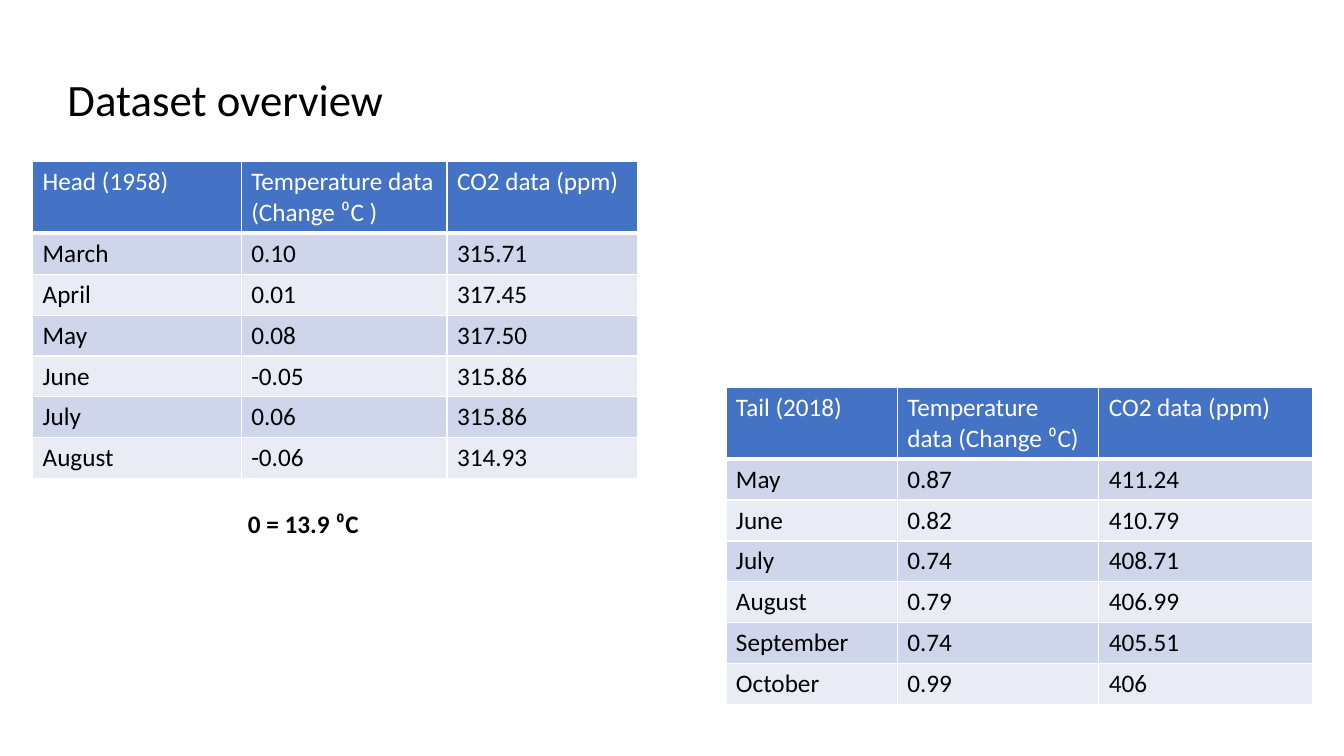
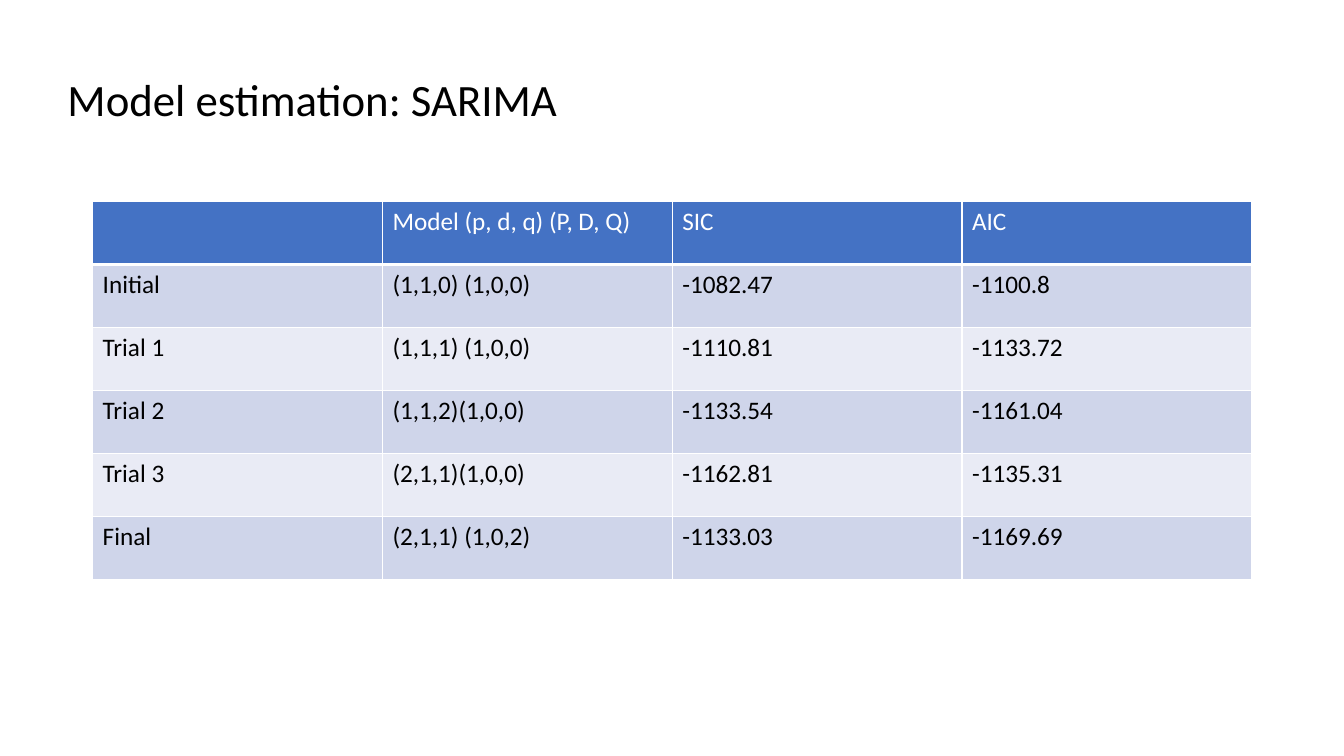
from pptx import Presentation
from pptx.dml.color import RGBColor
from pptx.enum.text import MSO_ANCHOR, MSO_AUTO_SIZE, PP_ALIGN
from pptx.oxml.ns import qn
from pptx.util import Pt
from lxml import etree

TOP, LEFT_ALIGN, NO_FIT = MSO_ANCHOR.TOP, PP_ALIGN.LEFT, MSO_AUTO_SIZE.NONE
COLORS = {"header": "4472C4", "band_dark": "CFD5EA", "band_light": "E9EBF5",
          "white": "FFFFFF", "black": "000000"}
FONT = "Calibri"
TITLE_BOX = (41, 47.5, 710, 46)
TITLE_ONLY = 5

HEAD_ROWS = [
    ("Head (1958)", "Temperature data (Change ⁰C )", "CO2 data (ppm)"),
    ("March", "0.10", "315.71"),
    ("April", "0.01", "317.45"),
    ("May", "0.08", "317.50"),
    ("June", "-0.05", "315.86"),
    ("July", "0.06", "315.86"),
    ("August", "-0.06", "314.93"),
]
TAIL_ROWS = [
    ("Tail (2018)", "Temperature data (Change ⁰C)", "CO2 data (ppm)"),
    ("May", "0.87", "411.24"),
    ("June", "0.82", "410.79"),
    ("July", "0.74", "408.71"),
    ("August", "0.79", "406.99"),
    ("September", "0.74", "405.51"),
    ("October", "0.99", "406"),
]
MODEL_ROWS = [
    ("", "Model (p, d, q) (P, D, Q)", "SIC", "AIC"),
    ("Initial", "(1,1,0) (1,0,0)", "-1082.47", "-1100.8"),
    ("Trial 1", "(1,1,1) (1,0,0)", "-1110.81", "-1133.72"),
    ("Trial 2", "(1,1,2)(1,0,0)", "-1133.54", "-1161.04"),
    ("Trial 3", "(2,1,1)(1,0,0)", "-1162.81", "-1135.31"),
    ("Final", "(2,1,1) (1,0,2)", "-1133.03", "-1169.69"),
]


def color(name):
    return RGBColor.from_string(COLORS[name])


def write(frame, text, size=18, ink="black", bold=False):
    """Put one formatted run in a text frame."""
    paragraph = frame.paragraphs[0]
    paragraph.alignment = LEFT_ALIGN
    if text:
        run = paragraph.add_run()
        run.text = text
        for key, value in {"name": FONT, "size": Pt(size), "bold": bold}.items():
            setattr(run.font, key, value)
        run.font.color.rgb = color(ink)


def set_frame(frame):
    for key, value in {"word_wrap": True, "auto_size": NO_FIT,
                       "vertical_anchor": TOP}.items():
        setattr(frame, key, value)


def add_borders(cell, bottom):
    """Draw white cell borders, with the bottom one as wide as asked."""
    properties = cell._tc.get_or_add_tcPr()
    for side, width in {"L": 1, "R": 1, "T": 1, "B": bottom}.items():
        line = etree.SubElement(properties, qn(f"a:ln{side}"), w=str(Pt(width)))
        fill = etree.SubElement(line, qn("a:solidFill"))
        etree.SubElement(fill, qn("a:srgbClr"), val=COLORS["white"])


def add_data_table(slide, rows, left, top, widths, header_height, row_height):
    """Place a table with a header row and alternating bands."""
    heights = [header_height] + [row_height] * (len(rows) - 1)
    table = slide.shapes.add_table(
        len(rows), len(widths), Pt(left), Pt(top),
        Pt(sum(widths)), Pt(sum(heights))).table
    for column, width in zip(table.columns, widths):
        column.width = Pt(width)
    for index, (row, height, texts) in enumerate(zip(table.rows, heights, rows)):
        row.height = Pt(height)
        is_header = index == 0
        band = "header" if is_header else "band_dark" if index % 2 else "band_light"
        for cell, text in zip(row.cells, texts):
            add_borders(cell, 3 if is_header else 1)
            cell.fill.solid()
            cell.fill.fore_color.rgb = color(band)
            write(cell.text_frame, text, ink="white" if is_header else "black")


def add_caption(slide, text, box):
    caption = slide.shapes.add_textbox(*map(Pt, box))
    set_frame(caption.text_frame)
    write(caption.text_frame, text, bold=True)


def add_titled_slide(prs, heading):
    slide = prs.slides.add_slide(prs.slide_layouts[TITLE_ONLY])
    title = slide.shapes.title
    for key, value in zip(("left", "top", "width", "height"), TITLE_BOX):
        setattr(title, key, Pt(value))
    set_frame(title.text_frame)
    write(title.text_frame, heading, size=32)
    return slide


def build_dataset_slide(prs):
    slide = add_titled_slide(prs, "Dataset overview")
    # First and last months of the data
    add_data_table(slide, HEAD_ROWS, 23.3, 115.5, (149, 147, 136.4), 51, 29.2)
    add_data_table(slide, TAIL_ROWS, 518.5, 276.8, (122.4, 144, 152.4), 51, 29.2)
    # Baseline temperature
    add_caption(slide, "0 = 13.9 ⁰C", (170, 359.5, 300, 29))


def build_model_slide(prs):
    slide = add_titled_slide(prs, "Model estimation: SARIMA")
    add_data_table(slide, MODEL_ROWS, 66.2, 144, (207,) * 4, 45, 45)


def main():
    prs = Presentation()
    prs.slide_width, prs.slide_height = Pt(960), Pt(540)
    build_dataset_slide(prs)
    build_model_slide(prs)
    prs.save("out.pptx")


if __name__ == "__main__":
    main()
